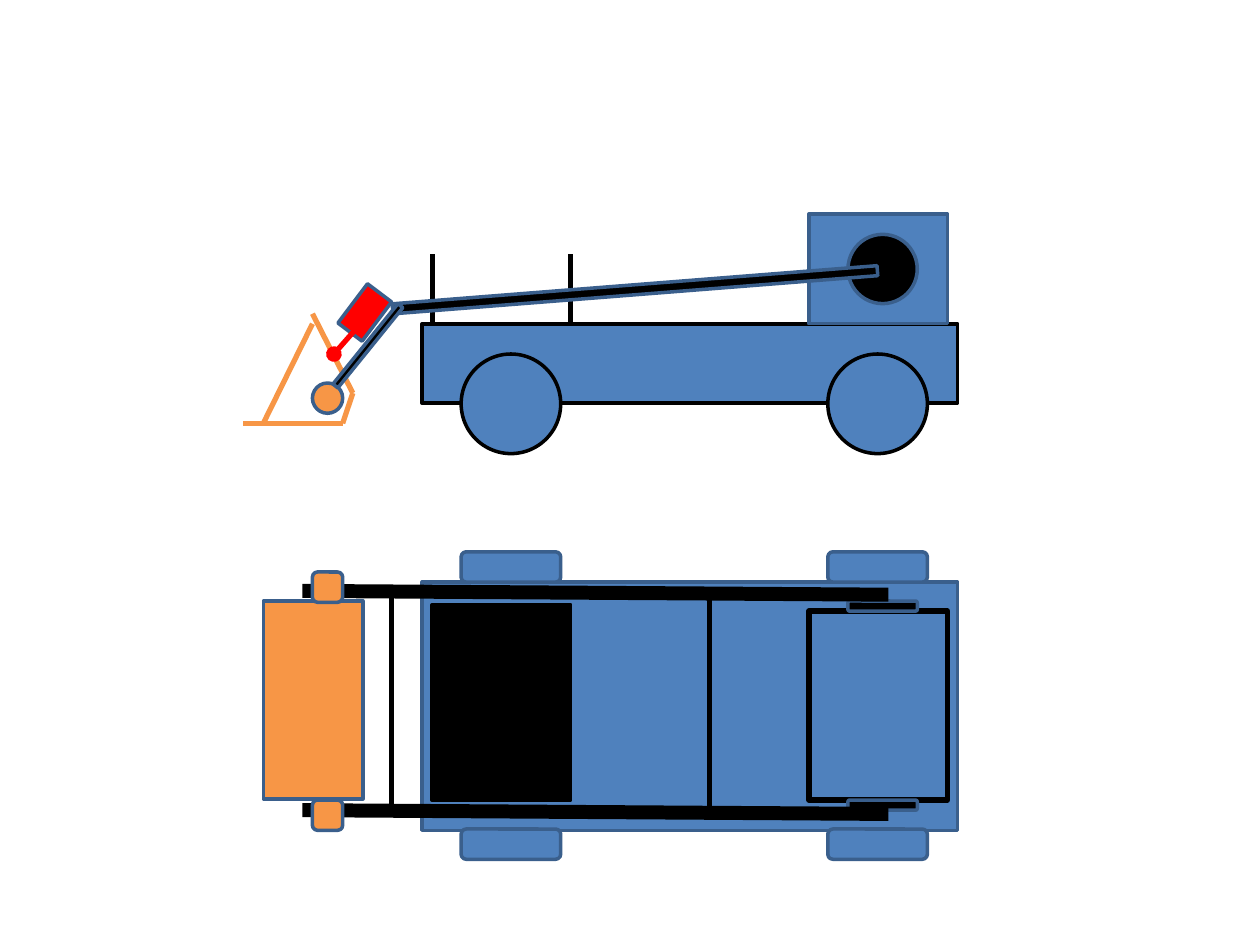
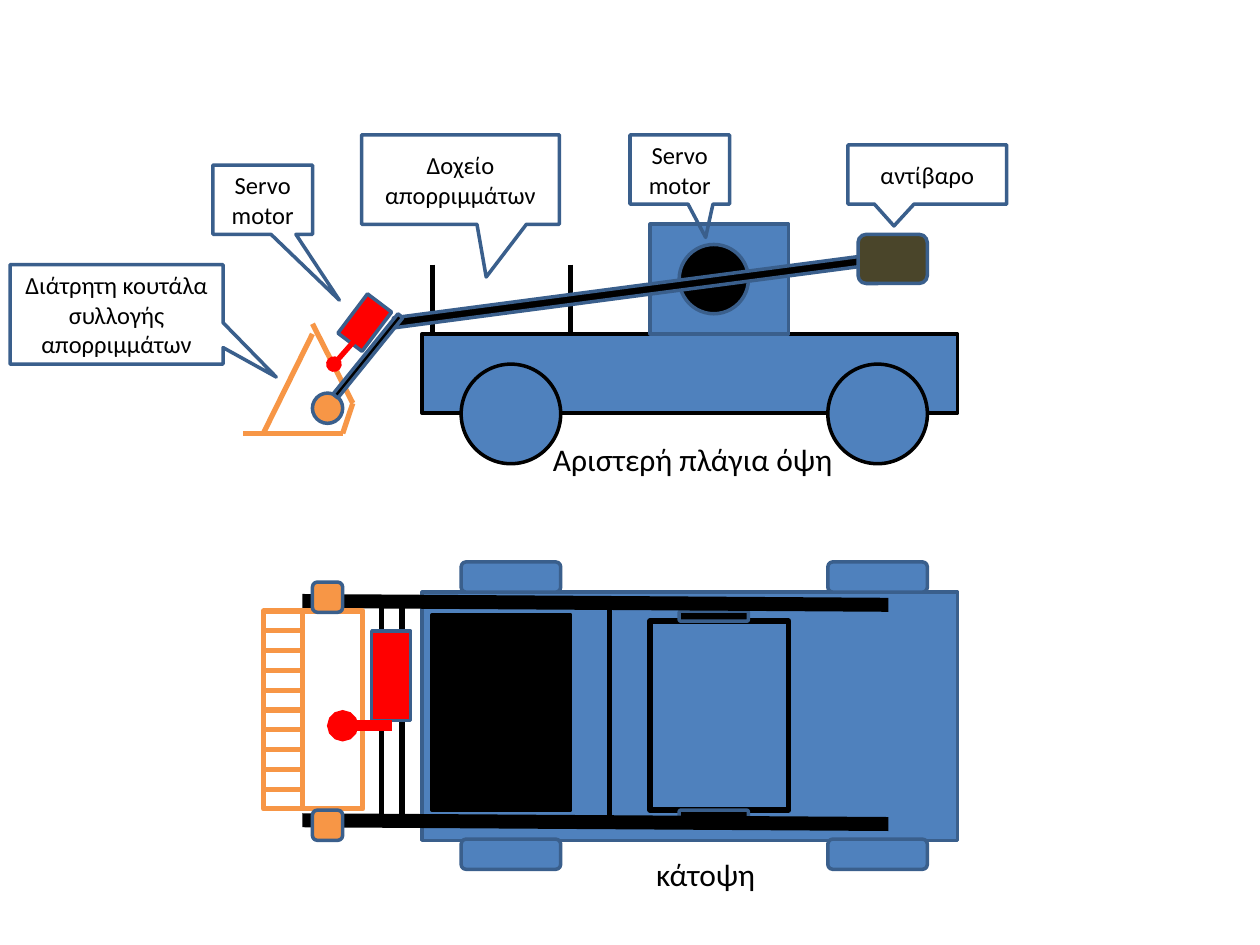
from lxml.etree import SubElement
from pptx import Presentation
from pptx.dml.color import RGBColor
from pptx.enum.shapes import MSO_CONNECTOR, MSO_SHAPE
from pptx.enum.text import MSO_ANCHOR, MSO_AUTO_SIZE, PP_ALIGN
from pptx.oxml.ns import qn
from pptx.util import Inches, Pt

BLUE = RGBColor(0x4F, 0x81, 0xBD)
EDGE = RGBColor(0x3A, 0x5F, 0x8C)
BLACK = RGBColor(0, 0, 0)
ORANGE = RGBColor(0xF7, 0x96, 0x46)
RED = RGBColor(0xFF, 0, 0)
OLIVE = RGBColor(0x4A, 0x45, 0x2A)

RECT = MSO_SHAPE.RECTANGLE
ROUND = MSO_SHAPE.ROUNDED_RECTANGLE
OVAL = MSO_SHAPE.OVAL
CALLOUT = MSO_SHAPE.RECTANGULAR_CALLOUT


def add_box(page, preset, left, top, width, height, fill=None, line=EDGE,
            weight=2, turn=0, pointer=None, text=None, size=14):
    """Add a preset shape, or a text box when preset is None, with optional text."""
    frame = [Inches(value) for value in (left, top, width, height)]
    if preset is None:
        box = page.shapes.add_textbox(*frame)
    else:
        box = page.shapes.add_shape(preset, *frame)
        box.shadow.inherit = False
        box.rotation = turn
        box.line.color.rgb = line
        box.line.width = Pt(weight)
        if fill is None:
            box.fill.background()
        else:
            box.fill.solid()
            box.fill.fore_color.rgb = fill
    if pointer:
        box.adjustments[0], box.adjustments[1] = pointer
    if text:
        body = box.text_frame
        body.word_wrap = preset is not None
        if preset is None:
            body.auto_size = MSO_AUTO_SIZE.SHAPE_TO_FIT_TEXT
        else:
            body.vertical_anchor = MSO_ANCHOR.MIDDLE
        para = body.paragraphs[0]
        para.alignment = PP_ALIGN.LEFT if preset is None else PP_ALIGN.CENTER
        span = para.add_run()
        span.text = text
        span.font.name = "Calibri"
        span.font.size = Pt(size)
        span.font.color.rgb = BLACK


def add_line(page, x1, y1, x2, y2, color=BLACK, weight=3, knob=False):
    """Add a straight line without shadow, with an optional round knob at its end."""
    line = page.shapes.add_connector(
        MSO_CONNECTOR.STRAIGHT, Inches(x1), Inches(y1), Inches(x2), Inches(y2))
    line.line.color.rgb = color
    line.line.width = Pt(weight)
    if knob:
        SubElement(line.line._get_or_add_ln(), qn("a:tailEnd"), type="oval")
    SubElement(line._element.spPr, qn("a:effectLst"))


deck = Presentation()
deck.slide_width, deck.slide_height = Inches(10), Inches(7.5)

# Each version: vertical shift, cab left, drum left, arm top, arm turn, cross rods
versions = [
    (0, 6.42, 6.73, 2.26, 355.5, (3.11, 5.63)),
    (0.08, 5.16, 5.39, 2.27, 352.5, (3.03, 3.19, 4.84)),
]
for shift, cab, drum, arm_top, arm_turn, rods in versions:
    page = deck.slides.add_slide(deck.slide_layouts[6])
    detailed = page is not None and len(deck.slides) == 2

    # Side view: chassis, wheels, bin walls and cab
    add_box(page, RECT, 3.35, 2.57 + shift, 4.25, 0.63, BLUE, BLACK)
    for wheel in (3.66, 6.57):
        add_box(page, OVAL, wheel, 2.81 + shift, 0.79, 0.79, BLUE, BLACK)
    for wall in (3.43, 4.53):
        add_line(page, wall, 2.02 + shift, wall, 2.57 + shift)
    add_box(page, RECT, cab, 1.7 + shift, 1.1, 0.87, BLUE)
    add_box(page, OVAL, drum, 1.86 + shift, 0.55, 0.55, BLACK)

    # Side view: scoop with its servo
    for x1, y1, x2, y2 in [(1.93, 3.36, 2.72, 3.36), (2.8, 3.12, 2.72, 3.36),
                           (2.09, 3.36, 2.48, 2.57), (2.48, 2.49, 2.8, 3.12)]:
        add_line(page, x1, y1 + shift, x2, y2 + shift, ORANGE)
    add_box(page, OVAL, 2.48, 3.04 + shift, 0.24, 0.24, ORANGE)
    add_box(page, RECT, 2.7, 2.36 + shift, 0.39, 0.24, RED, turn=307)
    add_line(page, 2.87, 2.56 + shift, 2.65, 2.81 + shift, RED, knob=True)

    # Top view: chassis, wheels, cab and bin
    add_box(page, RECT, 3.35, 4.62 + shift, 4.25, 1.97, BLUE)
    for wheel in (3.66, 6.57):
        for side in (4.38, 6.58):
            add_box(page, ROUND, wheel, side + shift, 0.79, 0.24, BLUE)
    add_box(page, RECT, cab, 4.85 + shift, 1.1, 1.5, line=BLACK, weight=3)
    add_box(page, RECT, 3.43, 4.8 + shift, 1.1, 1.55, BLACK, BLACK)
    for side in (4.77, 6.35):
        add_box(page, ROUND, drum, side + shift, 0.55, 0.08, BLACK)

    # Top view: long arms and cross rods
    for side in (4.69, 6.43):
        add_line(page, 2.4, side + shift, 7.05, side + 0.03 + shift, weight=8)
    for rod in rods:
        add_line(page, rod, 4.69 + shift, rod, 6.43 + shift)

    # Side view: the two parts of the arm
    add_box(page, RECT, 3.11, arm_top, 3.86, 0.08, BLACK, turn=arm_turn)
    add_box(page, RECT, 2.51, 2.72 + shift, 0.82, 0.05, BLACK, turn=309)

    # Top view: scoop, solid at first and slatted in the detailed version
    scoop_top, scoop_height = 4.77 + shift, 1.57
    if detailed:
        add_box(page, RECT, 2.09, scoop_top, 0.79, scoop_height, line=ORANGE, weight=3)
    else:
        add_box(page, RECT, 2.09, scoop_top, 0.79, scoop_height, ORANGE)
    for hinge in (4.54, 6.35):
        add_box(page, ROUND, 2.48, hinge + shift, 0.24, 0.24, ORANGE)
    if not detailed:
        continue

    add_line(page, 2.4, scoop_top, 2.4, scoop_top + scoop_height, ORANGE)
    for number in range(1, 10):
        slat = scoop_top + number * scoop_height / 10
        add_line(page, 2.09, slat, 2.4, slat, ORANGE)
    add_box(page, RECT, 2.95, 5.01, 0.31, 0.71, RED)
    add_line(page, 3.11, 5.76, 2.72, 5.76, RED, 6, knob=True)
    add_box(page, ROUND, 6.81, 1.86, 0.55, 0.39, OLIVE)

    # Labels
    for text, left, top, width, height, pointer in [
        ("Δοχείο απορριμμάτων", 2.87, 1.07, 1.57, 0.71, (0.13, 1.09)),
        ("αντίβαρο", 6.73, 1.15, 1.26, 0.47, (-0.21, 0.87)),
        ("Διάτρητη κουτάλα συλλογής απορριμμάτων", 0.08, 2.1, 1.69, 0.79, (0.75, 0.63)),
        ("Servo motor", 1.69, 1.31, 0.79, 0.55, (0.77, 1.45)),
        ("Servo motor", 5, 1.07, 0.79, 0.55, (0.26, 0.98)),
    ]:
        add_box(page, CALLOUT, left, top, width, height, pointer=pointer, text=text)
    for text, left, top, width in [("Αριστερή πλάγια όψη", 4.29, 3.44, 2.45),
                                   ("κάτοψη", 5.11, 6.74, 0.99)]:
        add_box(page, None, left, top, width, 0.4, text=text, size=18)

deck.save("out.pptx")
